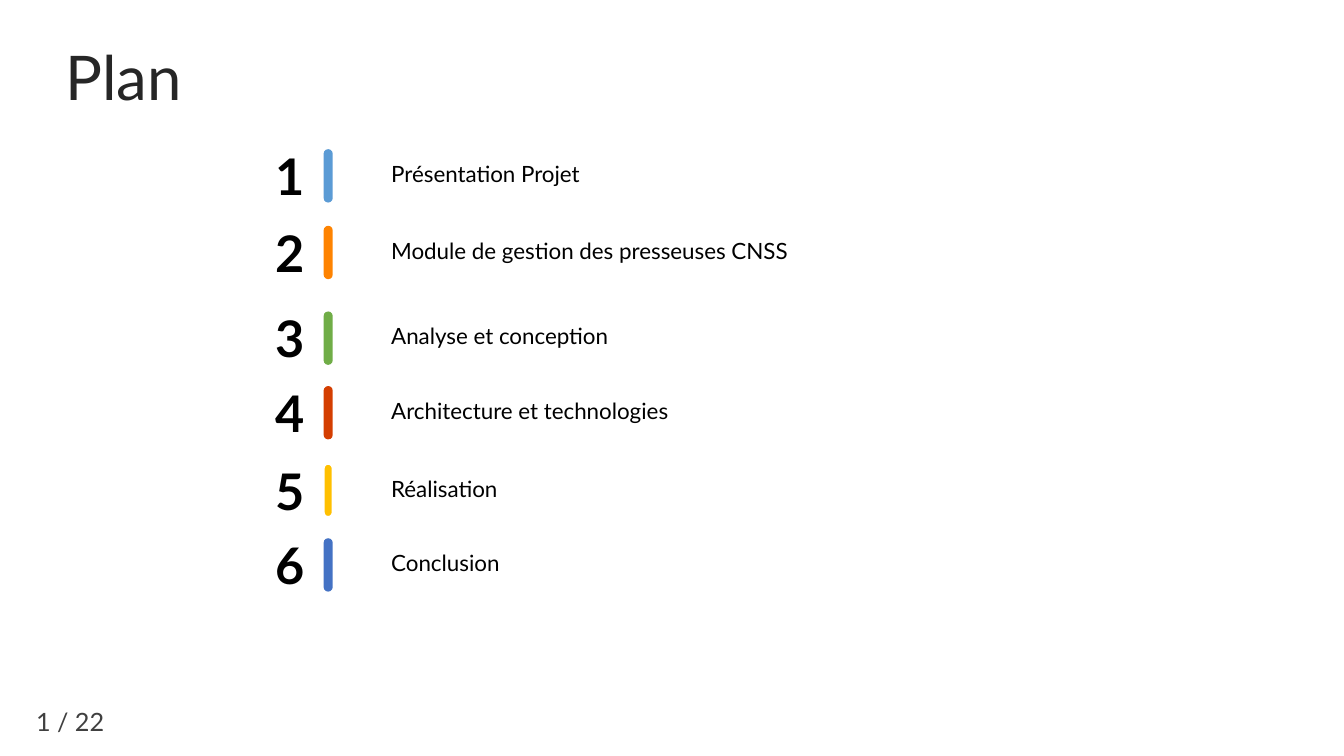
from pptx import Presentation
from pptx.dml.color import RGBColor
from pptx.enum import shapes, text as txt
from pptx.util import Inches, Pt

FONT = "Lato"
BLACK = RGBColor(0x00, 0x00, 0x00)
WHITE = RGBColor(0xFF, 0xFF, 0xFF)
TITLE_GREY = RGBColor(0x26, 0x26, 0x26)
PAGE_GREY = RGBColor(0x40, 0x40, 0x40)
SKY = RGBColor(0x5B, 0x9B, 0xD5)
ORANGE = RGBColor(0xFE, 0x83, 0x01)
GREEN = RGBColor(0x70, 0xAD, 0x47)
RED = RGBColor(0xD4, 0x3E, 0x01)
YELLOW = RGBColor(0xFF, 0xC0, 0x00)
BLUE = RGBColor(0x44, 0x72, 0xC4)

AGENDA = [
    ("Présentation Projet", 1.48, SKY, None),
    ("Module de gestion des presseuses CNSS", 2.24, ORANGE, None),
    ("Analyse et conception", 3.09, GREEN, None),
    ("Architecture et technologies", 3.83, RED, None),
    ("Réalisation", 4.6, YELLOW, WHITE),
    ("Conclusion", 5.34, BLUE, None),
]


def add_text(s, content, x, y, w, h, size, color=BLACK, bold=False, wrap=True,
             inset=(0.1, 0.05), align=txt.PP_ALIGN.LEFT,
             anchor=txt.MSO_ANCHOR.TOP, line_spacing=None, before=None):
    sp = s.shapes.add_textbox(Inches(x), Inches(y), Inches(w), Inches(h))
    tf = sp.text_frame
    tf.word_wrap = wrap
    tf.vertical_anchor = anchor
    tf.margin_left = tf.margin_right = Inches(inset[0])
    tf.margin_top = tf.margin_bottom = Inches(inset[1])
    p = tf.paragraphs[0]
    p.alignment = align
    p.line_spacing = line_spacing
    p.space_before = before
    r = p.add_run()
    r.text = content
    r.font.name = FONT
    r.font.size = Pt(size)
    r.font.bold = bold
    r.font.color.rgb = color


def add_bar(s, y, color, outline):
    sp = s.shapes.add_shape(shapes.MSO_SHAPE.ROUND_2_SAME_RECTANGLE,
                            Inches(3.21), Inches(y), Inches(0.09), Inches(0.53))
    sp.adjustments[0] = sp.adjustments[1] = 0.5
    sp.shadow.inherit = False
    sp.fill.solid()
    sp.fill.fore_color.rgb = color
    if outline is None:
        sp.line.fill.background()
    else:
        sp.line.color.rgb = outline
        sp.line.width = Pt(1.5)


def add_agenda_item(s, number, label, y, color, outline):
    add_text(s, label, 3.64, y - 0.01, 9.2, 0.51, 16, inset=(0.24, 0.12))
    add_bar(s, y, color, outline)
    add_text(s, str(number), 2.53, y - 0.14, 0.68, 0.81, 36, bold=True,
             wrap=False, inset=(0.2, 0.1))


def main():
    prs = Presentation()
    prs.slide_width, prs.slide_height = Inches(13.33), Inches(7.5)
    s = prs.slides.add_slide(prs.slide_layouts[6])
    add_text(s, "Plan", 0.55, 0.42, 12.04, 0.7, 44, TITLE_GREY,
             line_spacing=0.9, before=Pt(10))
    for number, item in enumerate(AGENDA, 1):
        add_agenda_item(s, number, *item)
    add_text(s, "1 / 22", 0.25, 6.91, 0.89, 0.5, 18, PAGE_GREY, wrap=False,
             align=txt.PP_ALIGN.CENTER, anchor=txt.MSO_ANCHOR.MIDDLE)
    prs.save("out.pptx")


if __name__ == "__main__":
    main()
